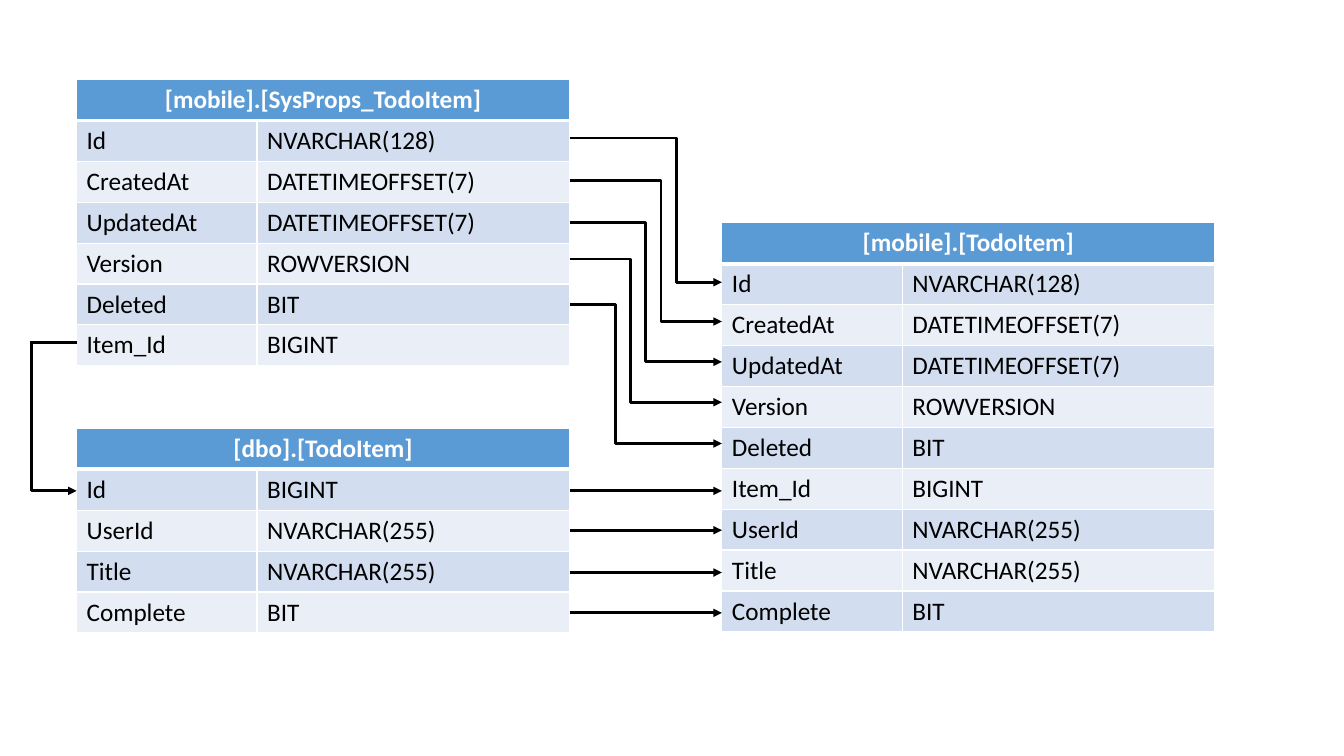
from lxml import etree
from pptx import Presentation
from pptx.dml.color import RGBColor
from pptx.enum import shapes as sh, text as tx
from pptx.oxml import ns
from pptx.util import Inches, Pt

BLUE, DARK, PALE = "5B9BD5", "D2DEEF", "EAEFF7"
WHITE, BLACK = "FFFFFF", "000000"
WIDE = (1.79, 3.1)

SYS = [("Id", "NVARCHAR(128)"), ("CreatedAt", "DATETIMEOFFSET(7)"),
       ("UpdatedAt", "DATETIMEOFFSET(7)"), ("Version", "ROWVERSION"),
       ("Deleted", "BIT"), ("Item_Id", "BIGINT")]
ITEM = [("UserId", "NVARCHAR(255)"), ("Title", "NVARCHAR(255)"),
        ("Complete", "BIT")]


def color(code):
    return RGBColor.from_string(code)


def child(node, tag, **attrs):
    return etree.SubElement(node, ns.qn(tag), attrs)


def write(cell, words, size=18, ink=BLACK, bold=False, align=tx.PP_ALIGN.LEFT):
    par = cell.text_frame.paragraphs[0]
    par.alignment = align
    run = par.add_run()
    run.text = words
    font = run.font
    font.name, font.size, font.bold = "Calibri", Pt(size), bold
    font.color.rgb = color(ink)


def dress(cell, fill, top=1, low=1):
    """Give a cell its white borders and its fill."""
    props = cell._tc.get_or_add_tcPr()
    for side, width in zip("LRTB", (1, 1, top, low)):
        edge = child(props, f"a:ln{side}", w=str(Pt(width)))
        child(child(edge, "a:solidFill"), "a:srgbClr", val=WHITE)
    cell.fill.solid()
    cell.fill.fore_color.rgb = color(fill)


def add_grid(slide, title, rows, left, top, high):
    count = len(rows) + 1
    grid = slide.shapes.add_table(count, 2, Inches(left), Inches(top),
                                  Inches(sum(WIDE)), Inches(high)).table
    grid.horz_banding = False
    for col, width in zip(grid.columns, WIDE):
        col.width = Inches(width)
    for row in grid.rows:
        row.height = Inches(high / count)

    # Header across both columns
    head = grid.cell(0, 0)
    head.merge(grid.cell(0, 1))
    for col in range(2):
        dress(grid.cell(0, col), BLUE, low=3)
    write(head, title, ink=WHITE, bold=True, align=tx.PP_ALIGN.CENTER)

    # Banded body
    for row, pair in enumerate(rows, 1):
        for col, words in enumerate(pair):
            cell = grid.cell(row, col)
            dress(cell, DARK if row % 2 else PALE, top=3 if row == 1 else 1)
            write(cell, words)


def add_line(slide, start, end, bend=None, turn=0, arrow=True):
    """Draw a straight line, or an elbow that turns at the share bend."""
    kind = sh.MSO_CONNECTOR.STRAIGHT if bend is None else sh.MSO_CONNECTOR.ELBOW
    line = slide.shapes.add_connector(kind, *map(Inches, start + end))
    line.line.color.rgb = color(BLACK)
    line.line.width = Pt(2)
    props = line._element.spPr
    if bend is not None:
        guides = props.find(ns.qn("a:prstGeom")).get_or_add_avLst()
        child(guides, "a:gd", name="adj1", fmla=f"val {round(bend * 100000)}")
    if turn:
        props.find(ns.qn("a:xfrm")).set("rot", str(turn * 60000))
    if arrow:
        child(line.line._get_or_add_ln(), "a:tailEnd", type="triangle")
    child(props, "a:effectLst")


def main():
    deck = Presentation()
    deck.slide_width, deck.slide_height = Inches(13.33), Inches(7.5)
    slide = deck.slides.add_slide(deck.slide_layouts[6])

    # Tables
    add_grid(slide, "[mobile].[SysProps_TodoItem]", SYS, 0.76, 0.79, 2.84)
    add_grid(slide, "[dbo].[TodoItem]", [("Id", "BIGINT")] + ITEM,
             0.76, 4.25, 2.03)
    add_grid(slide, "[mobile].[TodoItem]", SYS + ITEM, 7.16, 2.21, 4.06)

    # Item_Id to Id, round the left side
    add_line(slide, (1.27, 3.91), (-0.2, 4.36), bend=1, turn=270)
    add_line(slide, (0.3, 3.4), (0.76, 3.4), arrow=False)

    # System columns to the joined table, nested elbows
    ends = [(1.37, 2.8), (1.79, 3.19), (2.21, 3.59), (2.57, 3.99), (3.02, 4.4)]
    for step, (high, low) in enumerate(ends):
        add_line(slide, (5.65, high), (7.16, low), bend=0.7 - step / 10)

    # Item columns to the joined table
    for y in (4.87, 5.26, 5.68, 6.08):
        add_line(slide, (5.65, y), (7.16, y))

    deck.save("out.pptx")


if __name__ == "__main__":
    main()
